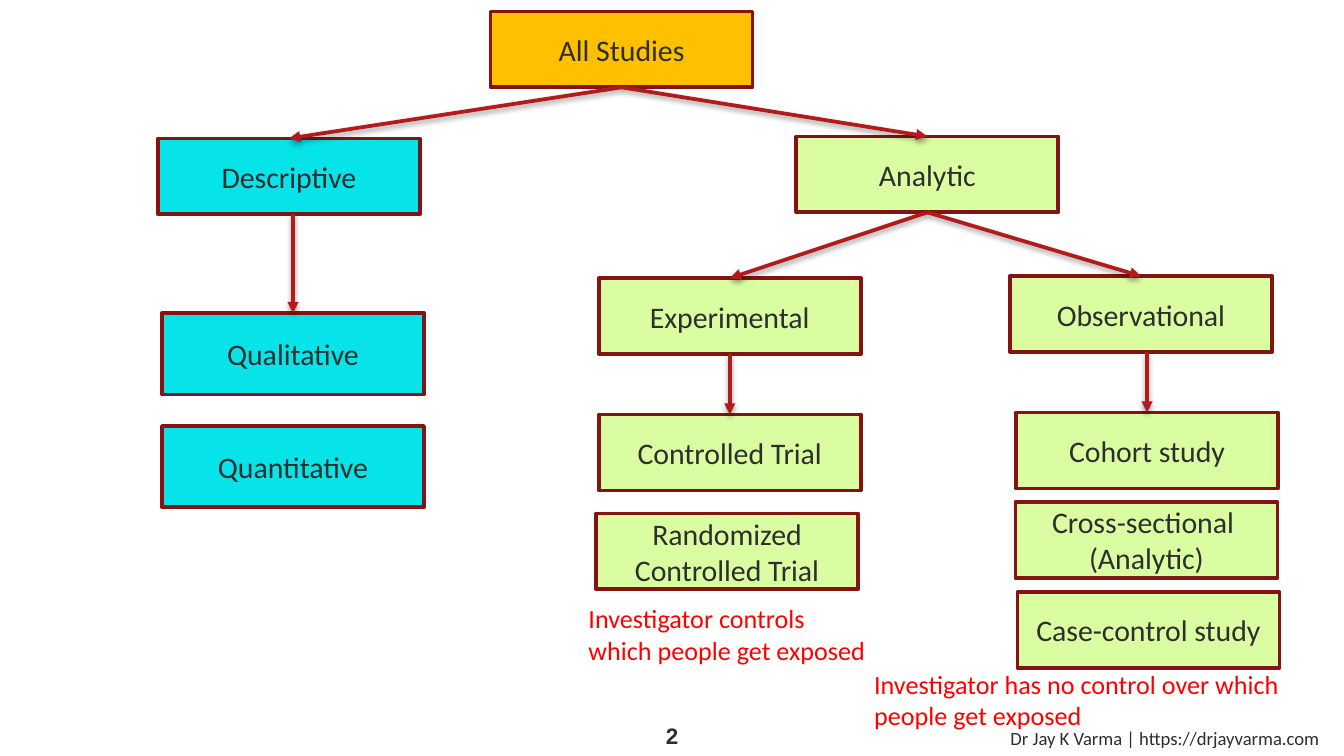
from dataclasses import dataclass

from lxml import etree
from pptx import Presentation
from pptx import util as u
from pptx.dml.color import RGBColor
from pptx.enum import shapes, text
from pptx.oxml.ns import qn

PX = 4572  # EMU per px, 200 px to the inch
BOX_W = 390


@dataclass(frozen=True)
class Theme:
    ink: str = "2D2E2D"
    note: str = "FF0000"
    border: str = "841414"
    arrow: str = "B31B1B"
    root: str = "FFC000"
    descriptive: str = "07E4E9"
    analytic: str = "DAFDA1"
    font: str = "Calibri"
    number_font: str = "Arial"
    box_pt: int = 16
    note_pt: int = 14
    number_pt: int = 12
    credit_pt: int = 10
    line_pt: int = 2


T = Theme()


@dataclass(frozen=True)
class Box:
    label: str
    x: int
    y: int
    fill: str = T.analytic
    h: int = 113

    @property
    def center(self) -> int:
        return self.x + BOX_W // 2

    @property
    def bottom(self) -> int:
        return self.y + self.h


@dataclass(frozen=True)
class Label:
    words: str
    x: int
    y: int
    w: int
    h: int
    size: int
    color: str = T.ink
    font: str = T.font
    bold: bool = False
    align: text.PP_ALIGN = text.PP_ALIGN.LEFT
    anchor: text.MSO_ANCHOR = text.MSO_ANCHOR.TOP


def px(*lengths: int) -> list[u.Emu]:
    return [u.Emu(n * PX) for n in lengths]


def set_text(tf, words: str, size: int, color: str, font: str, bold: bool, align, anchor) -> None:
    tf.word_wrap = True
    tf.vertical_anchor = anchor
    tf.text = words
    for p in tf.paragraphs:
        p.alignment = align
        for r in p.runs:
            r.font.size = u.Pt(size)
            r.font.name = font
            r.font.bold = bold
            r.font.color.rgb = RGBColor.from_string(color)


def draw_box(s, box: Box) -> None:
    sp = s.shapes.add_shape(shapes.MSO_SHAPE.RECTANGLE, *px(box.x, box.y, BOX_W, box.h))
    sp.shadow.inherit = False
    sp.fill.solid()
    sp.fill.fore_color.rgb = RGBColor.from_string(box.fill)
    sp.line.color.rgb = RGBColor.from_string(T.border)
    sp.line.width = u.Pt(T.line_pt)
    set_text(sp.text_frame, box.label, T.box_pt, T.ink, T.font, False,
             text.PP_ALIGN.CENTER, text.MSO_ANCHOR.MIDDLE)


def draw_label(s, label: Label) -> None:
    sp = s.shapes.add_textbox(*px(label.x, label.y, label.w, label.h))
    set_text(sp.text_frame, label.words, label.size, label.color, label.font,
             label.bold, label.align, label.anchor)


def draw_arrow(s, parent: Box, child: Box, vertical: bool) -> None:
    """Run from the parent's bottom to the top centre of the child."""
    start = child.center if vertical else parent.center
    c = s.shapes.add_connector(shapes.MSO_CONNECTOR.STRAIGHT,
                               *px(start, parent.bottom, child.center, child.y))
    c.line.color.rgb = RGBColor.from_string(T.arrow)
    c.line.width = u.Pt(T.line_pt)
    # Arrowhead and soft drop shadow
    ln = c._element.spPr.find(qn("a:ln"))
    etree.SubElement(ln, qn("a:tailEnd"), type="triangle")
    effects = etree.SubElement(c._element.spPr, qn("a:effectLst"))
    shadow = etree.SubElement(effects, qn("a:outerShdw"), blurRad=str(u.Pt(3.1)),
                              dist=str(u.Pt(1.6)), dir="5400000", rotWithShape="0")
    tint = etree.SubElement(shadow, qn("a:srgbClr"), val="000000")
    etree.SubElement(tint, qn("a:alpha"), val="38000")


# Tree of study types
ROOT = Box("All Studies", 730, 17, T.root)
DESCRIPTIVE = Box("Descriptive", 235, 206, T.descriptive)
QUALITATIVE = Box("Qualitative", 241, 466, T.descriptive, 121)
QUANTITATIVE = Box("Quantitative", 241, 634, T.descriptive, 121)
ANALYTIC = Box("Analytic", 1185, 203)
EXPERIMENTAL = Box("Experimental", 891, 414)
TRIAL = Box("Controlled Trial", 891, 617)
RANDOMIZED = Box("Randomized Controlled Trial", 887, 764)
OBSERVATIONAL = Box("Observational", 1503, 411)
COHORT = Box("Cohort study", 1512, 614)
CROSS_SECTIONAL = Box("Cross-sectional \n(Analytic)", 1511, 747)
CASE_CONTROL = Box("Case-control study", 1514, 881)

BOXES = (QUANTITATIVE, ANALYTIC, DESCRIPTIVE, ROOT, QUALITATIVE, EXPERIMENTAL,
         OBSERVATIONAL, TRIAL, RANDOMIZED, COHORT, CROSS_SECTIONAL, CASE_CONTROL)

# Parent, child, vertical
ARROWS = (
    (ROOT, DESCRIPTIVE, False),
    (ROOT, ANALYTIC, False),
    (DESCRIPTIVE, QUALITATIVE, True),
    (ANALYTIC, EXPERIMENTAL, False),
    (ANALYTIC, OBSERVATIONAL, False),
    (EXPERIMENTAL, TRIAL, True),
    (OBSERVATIONAL, COHORT, True),
)

# Slide number, notes and credit
LABELS = (
    Label("2", 943, 1064, 114, 60, T.number_pt, font=T.number_font, bold=True,
          align=text.PP_ALIGN.CENTER, anchor=text.MSO_ANCHOR.MIDDLE),
    Label("Investigator has no control over which people get exposed",
          1281, 985, 736, 114, T.note_pt, T.note),
    Label("Investigator controls which people get exposed",
          856, 887, 464, 114, T.note_pt, T.note),
    Label("Dr Jay K Varma | https://drjayvarma.com", 1484, 1072, 516, 53, T.credit_pt),
)


def main() -> None:
    prs = Presentation()
    prs.slide_width, prs.slide_height = px(2000, 1125)
    s = prs.slides.add_slide(prs.slide_layouts[6])
    for box in BOXES:
        draw_box(s, box)
    for parent, child, vertical in ARROWS:
        draw_arrow(s, parent, child, vertical)
    for label in LABELS:
        draw_label(s, label)
    prs.save("out.pptx")


if __name__ == "__main__":
    main()
